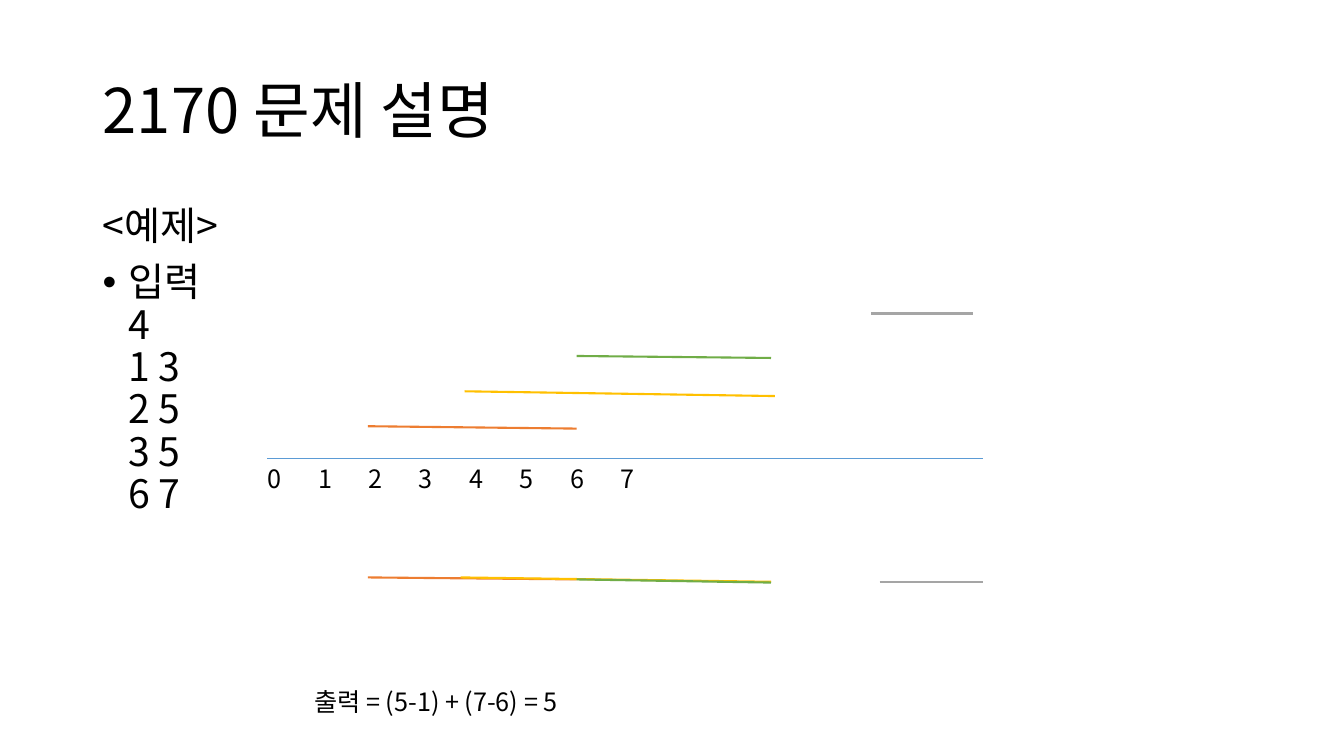
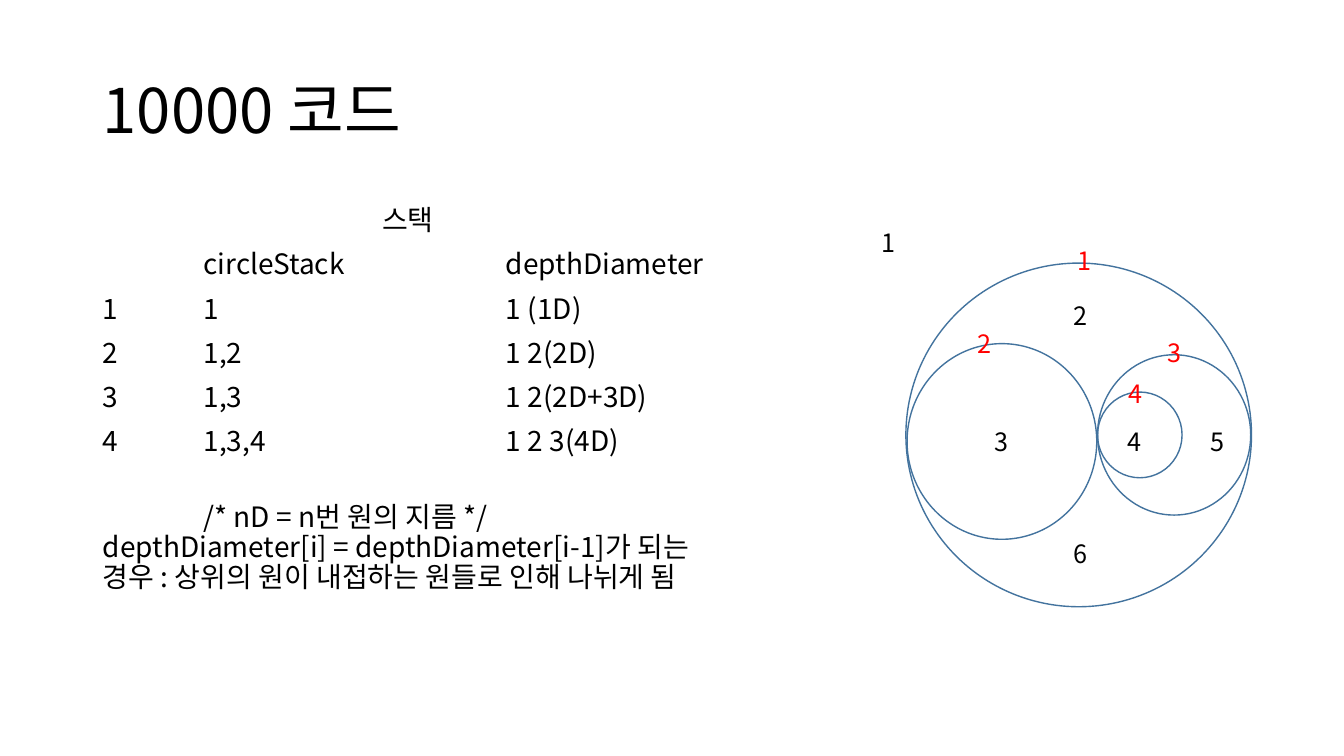
from lxml.etree import SubElement
from pptx import Presentation
from pptx.dml.color import RGBColor
from pptx.enum.shapes import MSO_CONNECTOR, MSO_SHAPE
from pptx.enum.text import MSO_ANCHOR, MSO_AUTO_SIZE, PP_ALIGN
from pptx.oxml.ns import qn
from pptx.util import Cm, Pt

# Shared style
FONT = "Noto Sans CJK KR"
BLACK = RGBColor(0x00, 0x00, 0x00)
RED = RGBColor(0xFF, 0x00, 0x00)
BLUE = RGBColor(0x5B, 0x9B, 0xD5)
ORANGE = RGBColor(0xED, 0x7D, 0x31)
YELLOW = RGBColor(0xFF, 0xC0, 0x00)
GREEN = RGBColor(0x70, 0xAD, 0x47)
GRAY = RGBColor(0xA5, 0xA5, 0xA5)
CIRCLE_BLUE = RGBColor(0x43, 0x73, 0x9E)
MARGIN, BODY_TOP, BODY_HEIGHT = 2.34, 5.08, 12.09
LABEL_WIDTH, LABEL_HEIGHT = 0.86, 1.02

# Slide 1: segments on a number line (colour, x1, y1, x2, y2 in cm)
SEGMENT_TITLE = "2170 문제 설명"
EXAMPLE_HEADING = "<예제>"
EXAMPLE_INPUT = "입력\n4\n1 3\n2 5\n3 5\n6 7"
AXIS = (BLUE, 6.73, 11.56, 24.77, 11.56)
AXIS_LABELS = "\t".join(str(n) for n in range(8))
SEGMENTS = [
    (ORANGE, 9.27, 10.74, 14.53, 10.8),
    (YELLOW, 11.71, 9.86, 19.53, 9.98),
    (GREEN, 14.53, 8.97, 19.43, 9.02),
    (GRAY, 21.95, 7.9, 24.51, 7.9),
]
MERGED_SEGMENTS = [
    (ORANGE, 9.27, 14.55, 14.53, 14.6),
    (YELLOW, 11.61, 14.55, 19.43, 14.66),
    (GREEN, 14.53, 14.6, 19.43, 14.68),
    (GRAY, 22.17, 14.66, 24.77, 14.66),
]
OUTPUT = "출력 = (5-1) + (7-6) = 5"

# Slide 2: stack trace and nested circles (left, top, width, height in cm)
CODE_TITLE = "10000 코드"
STACK_HEADING = "스택"
STACK_ROWS = [
    ("", "circleStack", "depthDiameter"),
    ("1", "1", "1 (1D)"),
    ("2", "1,2", "1 2(2D)"),
    ("3", "1,3", "1 2(2D+3D)"),
    ("4", "1,3,4", "1 2 3(4D)"),
]
STACK_TABS = (2.54, 10.16)
STACK_NOTE = ("\t/* nD = n번 원의 지름 */\ndepthDiameter[i] = depthDiameter[i-1]가 되는 경우"
              " : 상위의 원이 내접하는 원들로 인해 나뉘게 됨")
CIRCLES = [
    (22.83, 6.63, 8.71, 8.66),
    (22.86, 8.66, 4.78, 4.93),
    (27.66, 8.94, 3.86, 4.04),
    (27.66, 9.88, 2.13, 2.16),
]
# Label positions, numbered in order
REGION_LABELS = [(21.97, 5.61), (26.8, 7.44), (24.82, 10.62),
                 (28.17, 10.62), (30.25, 10.62), (26.8, 13.44)]
CIRCLE_LABELS = [(26.9, 6.05), (24.38, 8.15), (29.18, 8.38), (28.19, 9.42)]


def write(paragraph, text, size=18, color=BLACK, align=PP_ALIGN.LEFT,
          line=None, before=0, bullet=False, tabs=()):
    paragraph.text = text
    paragraph.alignment = align
    paragraph.space_before = Pt(before)
    if line:
        paragraph.line_spacing = line
    for run in paragraph.runs:
        run.font.size, run.font.name = Pt(size), FONT
        run.font.color.rgb = color
        SubElement(run.font._element, qn("a:ea"), typeface=FONT)
    properties = paragraph._p.get_or_add_pPr()
    if bullet:
        properties.set("marL", str(Cm(0.64)))
        properties.set("indent", str(-Cm(0.64)))
        SubElement(properties, qn("a:buFont"), typeface="Arial")
        SubElement(properties, qn("a:buChar"), char="•")
    if tabs:
        tab_list = SubElement(properties, qn("a:tabLst"))
        for position in tabs:
            SubElement(tab_list, qn("a:tab"), pos=str(Cm(position)), algn="l")


def add_frame(shapes, left, top, width, height, wrap=True, grow=False):
    frame = shapes.add_textbox(Cm(left), Cm(top), Cm(width), Cm(height)).text_frame
    frame.word_wrap = wrap
    frame.auto_size = MSO_AUTO_SIZE.SHAPE_TO_FIT_TEXT if grow else MSO_AUTO_SIZE.NONE
    return frame


def add_label(shapes, text, left, top, width=LABEL_WIDTH, wrap=False, **style):
    frame = add_frame(shapes, left, top, width, LABEL_HEIGHT, wrap=wrap, grow=True)
    write(frame.paragraphs[0], text, **style)


def add_segment(slide, color, x1, y1, x2, y2, weight=1.5):
    segment = slide.shapes.add_connector(
        MSO_CONNECTOR.STRAIGHT, Cm(x1), Cm(y1), Cm(x2), Cm(y2))
    segment.line.color.rgb = color
    segment.line.width = Pt(weight)
    SubElement(segment._element.spPr, qn("a:effectLst"))


def add_titled_slide(deck, title):
    slide = deck.slides.add_slide(deck.slide_layouts[6])
    frame = add_frame(slide.shapes, MARGIN, 1.02, 29.21, 3.68)
    frame.vertical_anchor = MSO_ANCHOR.MIDDLE
    write(frame.paragraphs[0], title, size=44, line=0.9)
    return slide


def add_body(slide, width):
    return add_frame(slide.shapes, MARGIN, BODY_TOP, width, BODY_HEIGHT)


def build_segment_slide(deck):
    slide = add_titled_slide(deck, SEGMENT_TITLE)
    body = add_body(slide, 4.19)
    write(body.paragraphs[0], EXAMPLE_HEADING, size=28, line=0.9, before=10)
    write(body.add_paragraph(), EXAMPLE_INPUT, size=28, line=0.9, before=10, bullet=True)

    # Number line, then input and merged segments
    add_segment(slide, *AXIS, weight=0.5)
    add_label(slide.shapes, AXIS_LABELS, 6.5, 11.56, width=21, wrap=True)
    for segment in SEGMENTS + MERGED_SEGMENTS:
        add_segment(slide, *segment)
    add_label(slide.shapes, OUTPUT, 7.67, 17.17, width=7.57)


def build_code_slide(deck):
    slide = add_titled_slide(deck, CODE_TITLE)
    body = add_body(slide, 15.88)
    write(body.paragraphs[0], STACK_HEADING, size=20, line=0.9, before=10,
          align=PP_ALIGN.CENTER)
    for row in STACK_ROWS:
        write(body.add_paragraph(), "\t".join(row), size=20, line=0.9, before=10,
              tabs=STACK_TABS)
    write(body.add_paragraph(), STACK_NOTE, size=20, line=0.9, before=32, tabs=STACK_TABS)

    # Nested circles with their labels
    diagram = slide.shapes.add_group_shape().shapes
    for left, top, width, height in CIRCLES:
        circle = diagram.add_shape(
            MSO_SHAPE.OVAL, Cm(left), Cm(top), Cm(width), Cm(height))
        circle.shadow.inherit = False
        circle.fill.background()
        circle.line.color.rgb = CIRCLE_BLUE
        circle.line.width = Pt(1)
    for positions, color in ((REGION_LABELS, BLACK), (CIRCLE_LABELS, RED)):
        for number, (left, top) in enumerate(positions, 1):
            add_label(diagram, str(number), left, top, color=color)


def main():
    deck = Presentation()
    deck.slide_width, deck.slide_height = Cm(33.87), Cm(19.05)
    build_segment_slide(deck)
    build_code_slide(deck)
    deck.save("out.pptx")


if __name__ == "__main__":
    main()
